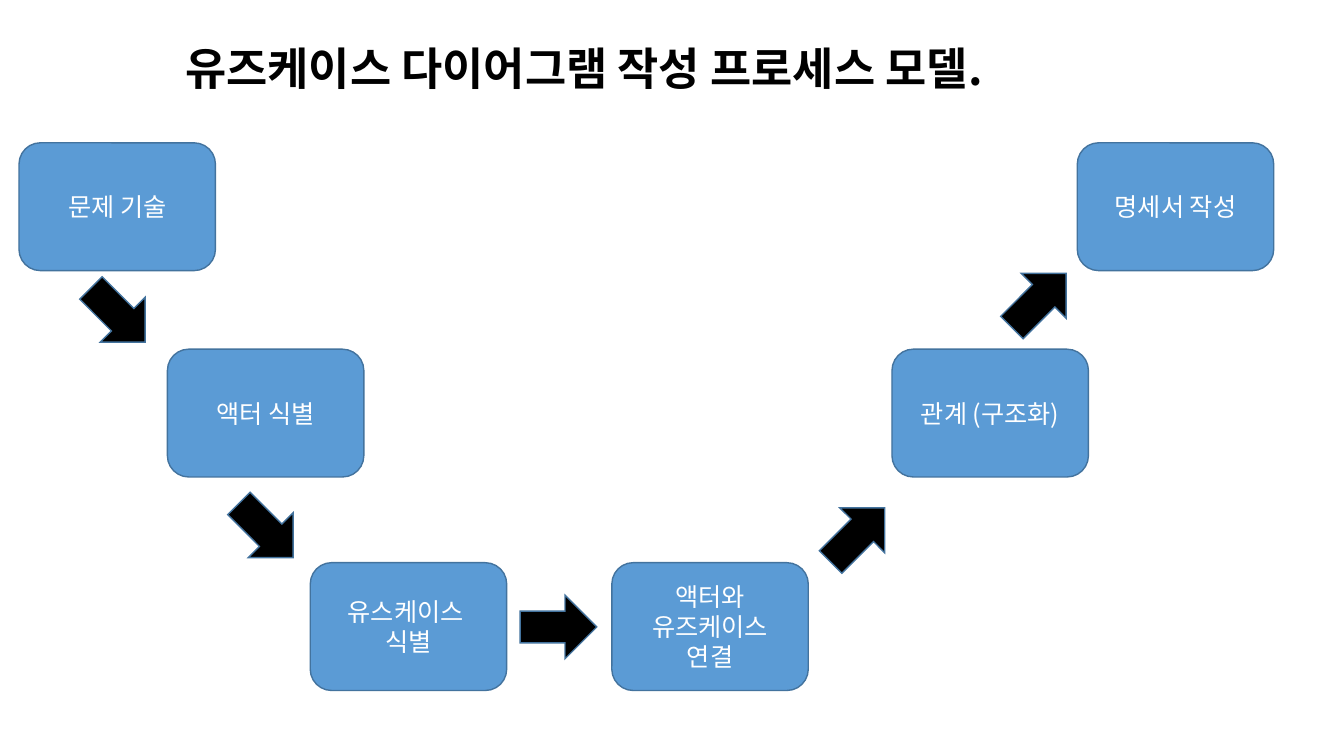
from lxml.etree import SubElement
from pptx import Presentation
from pptx.dml.color import RGBColor
from pptx.enum.shapes import MSO_SHAPE as Shape
from pptx.enum.text import MSO_ANCHOR as Anchor, PP_ALIGN as Align
from pptx.oxml.ns import qn
from pptx.util import Cm, Pt

FONT = "Noto Sans CJK KR"
BLUE, OUTLINE, BLACK, WHITE = "5B9BD5", "43739E", "000000", "FFFFFF"
STEP_SIZE = (4.95, 3.22)
ARROW_SIZE = (1.93, 1.6)
LOW, MIDDLE, HIGH = 10.58, 5.2, 0

STEPS = [
    ("문제 기술", 0, HIGH),
    ("액터 식별", 3.74, MIDDLE),
    ("유스케이스 \n식별", 7.34, LOW),
    ("액터와 유즈케이스 연결", 14.94, LOW),
    ("관계 (구조화)", 22, MIDDLE),
    ("명세서 작성", 26.67, HIGH),
]
ARROWS = [
    (1.53, 3.54, 45),
    (5.26, 8.97, 45),
    (12.63, 11.4, 0),
    (20.17, 9.08, 315),
    (24.74, 3.17, 315),
]


def color(value):
    return RGBColor.from_string(value)


def write_text(shape, text, size, font_color, bold=False,
               align=Align.LEFT, anchor=Anchor.TOP):
    frame = shape.text_frame
    frame.word_wrap = True
    frame.vertical_anchor = anchor
    frame.text = text
    for paragraph in frame.paragraphs:
        paragraph.alignment = align
        for run in paragraph.runs:
            font = run.font
            font.name, font.size, font.bold = FONT, Pt(size), bold
            font.color.rgb = color(font_color)
            SubElement(run._r.get_or_add_rPr(), qn("a:ea"), typeface=FONT)


def add_block(slide, kind, left, top, size, fill):
    shape = slide.shapes.add_shape(kind, Cm(left), Cm(top), *map(Cm, size))
    shape.shadow.inherit = False
    shape.fill.solid()
    shape.fill.fore_color.rgb = color(fill)
    shape.line.color.rgb = color(OUTLINE)
    shape.line.width = Pt(1)
    SubElement(shape.line._get_or_add_ln(), qn("a:miter"), lim="800000")
    return shape


def draw_title(slide, left, top, width, height):
    title = slide.shapes.add_textbox(Cm(left), Cm(top), Cm(width), Cm(height))
    write_text(title, "유즈케이스 다이어그램 작성 프로세스 모델.", 32, BLACK, bold=True)


def draw_process(slide, left, top):
    for text, x, y in STEPS:
        step = add_block(slide, Shape.ROUNDED_RECTANGLE, left + x, top + y,
                         STEP_SIZE, BLUE)
        write_text(step, text, 18, WHITE, align=Align.CENTER,
                   anchor=Anchor.MIDDLE)
    for x, y, angle in ARROWS:
        arrow = add_block(slide, Shape.RIGHT_ARROW, left + x, top + y,
                          ARROW_SIZE, BLACK)
        arrow.rotation = angle


def main():
    presentation = Presentation()
    presentation.slide_width, presentation.slide_height = Cm(33.87), Cm(19.05)
    slide = presentation.slides.add_slide(presentation.slide_layouts[6])
    draw_title(slide, 4.42, 0.91, 22.71, 1.63)
    draw_process(slide, 0.48, 3.6)
    presentation.save("out.pptx")


if __name__ == "__main__":
    main()
